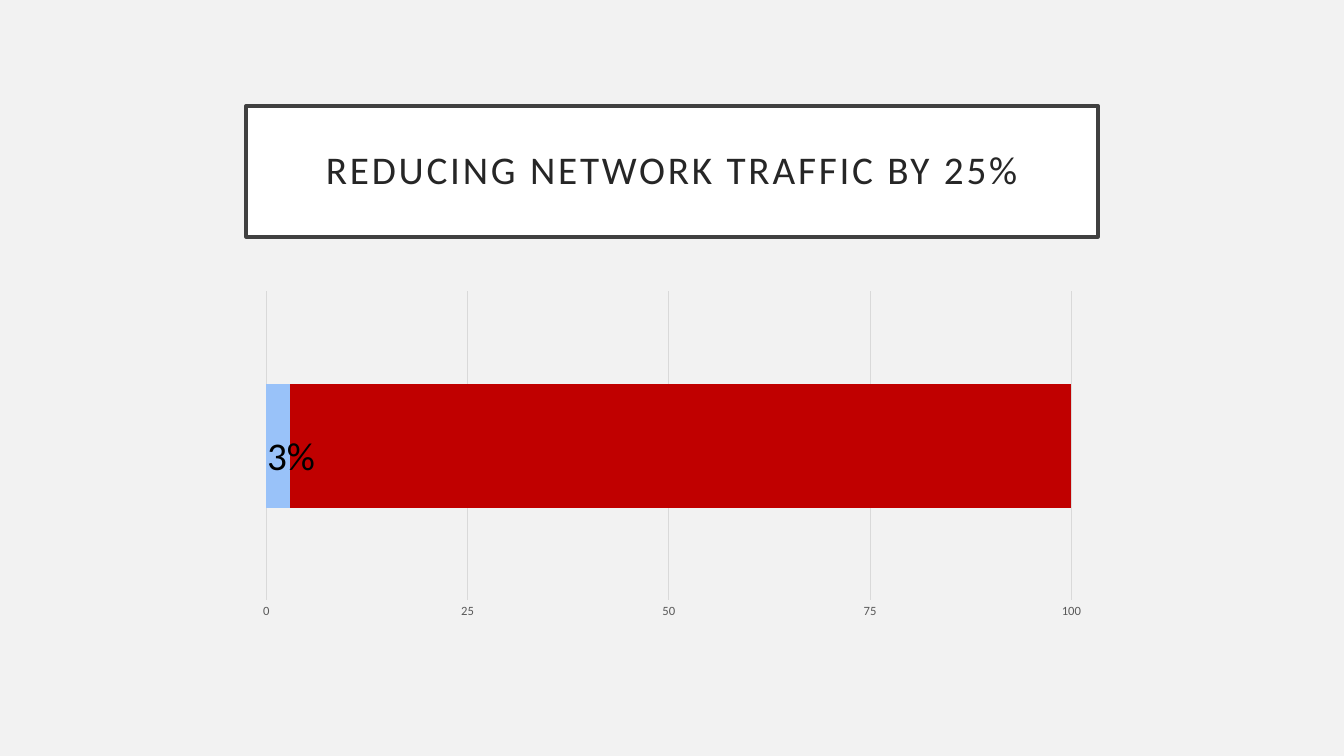
from dataclasses import dataclass

import pptx
import pptx.chart.data
import pptx.dml.color
import pptx.enum.chart
import pptx.enum.shapes
import pptx.enum.text
import pptx.util

Inches = pptx.util.Inches
Pt = pptx.util.Pt

FONT = "Calibri"
COLORS = {
    "back": "F2F2F2",
    "white": "FFFFFF",
    "frame": "404040",
    "title": "262626",
    "black": "000000",
    "axis": "595959",
    "grid": "D9D9D9",
    "blue": "99C2F9",
    "red": "C00000",
}
LEFT, WIDTH = 2.44, 8.45


@dataclass
class Part:
    name: str
    value: int
    color: str


PARTS = [Part("Series 1", 3, "blue"), Part("Series 2", 97, "red")]


def tint(name: str) -> pptx.dml.color.RGBColor:
    return pptx.dml.color.RGBColor.from_string(COLORS[name])


def paint(fill, color: str) -> None:
    fill.solid()
    fill.fore_color.rgb = tint(color)


def style(font, size: float, color: str) -> None:
    font.name = FONT
    font.size = Pt(size)
    font.color.rgb = tint(color)


def write(shape, text: str, *, size: float, color: str, align=None,
          anchor=None, inset: float | None = None, lines: float | None = None,
          space: float = 0) -> None:
    frame = shape.text_frame
    frame.word_wrap = True
    if anchor is not None:
        frame.vertical_anchor = anchor
    if inset is not None:
        frame.margin_left = frame.margin_right = Inches(inset)
        frame.margin_top = frame.margin_bottom = Inches(inset)
    para = frame.paragraphs[0]
    para.alignment = align
    para.line_spacing = lines
    run = para.add_run()
    run.text = text
    style(run.font, size, color)
    if space:
        run.font._element.set("spc", str(round(space * 100)))


def add_bar(slide, parts: list[Part]) -> None:
    data = pptx.chart.data.CategoryChartData()
    data.categories = ["1"]
    for part in parts:
        data.add_series(part.name, [part.value])
    chart = slide.shapes.add_chart(
        pptx.enum.chart.XL_CHART_TYPE.BAR_STACKED,
        Inches(LEFT), Inches(2.82), Inches(WIDTH), Inches(3.39), data).chart
    chart.has_legend = False
    chart.has_title = False
    style(chart.font, 10, "black")
    chart.category_axis.visible = False

    axis = chart.value_axis
    axis.minimum_scale = 0
    axis.maximum_scale = 100
    axis.major_unit = 25
    axis.major_tick_mark = pptx.enum.chart.XL_TICK_MARK.NONE
    axis.format.line.fill.background()
    style(axis.tick_labels.font, 9, "axis")
    grid = axis.major_gridlines.format.line
    grid.width = Pt(0.75)
    paint(grid.fill, "grid")

    plot = chart.plots[0]
    plot.gap_width = 150
    plot.overlap = 100
    plot.vary_by_categories = False
    for series, part in zip(plot.series, parts):
        paint(series.format.fill, part.color)


def add_title(slide, text: str) -> None:
    box = slide.shapes.add_shape(
        pptx.enum.shapes.MSO_SHAPE.RECTANGLE,
        Inches(LEFT), Inches(1.05), Inches(WIDTH), Inches(1.3))
    box.shadow.inherit = False
    paint(box.fill, "white")
    paint(box.line.fill, "frame")
    box.line.width = Pt(2.5)
    write(box, text, size=28, color="title",
          align=pptx.enum.text.PP_ALIGN.CENTER,
          anchor=pptx.enum.text.MSO_ANCHOR.MIDDLE,
          inset=0.2, lines=0.9, space=2)


def add_label(slide, text: str) -> None:
    label = slide.shapes.add_textbox(
        Inches(2.55), Inches(4.23), Inches(0.89), Inches(0.57))
    write(label, text, size=28, color="black")
    label.text_frame.auto_size = pptx.enum.text.MSO_AUTO_SIZE.SHAPE_TO_FIT_TEXT


def main() -> None:
    deck = pptx.Presentation()
    deck.slide_width = Inches(13.33)
    deck.slide_height = Inches(7.5)
    slide = deck.slides.add_slide(deck.slide_layouts[6])
    paint(slide.background.fill, "back")
    add_bar(slide, PARTS)
    add_title(slide, "REDUCING NETWORK TRAFFIC BY 25%")
    add_label(slide, "3%")
    deck.save("out.pptx")


if __name__ == "__main__":
    main()
